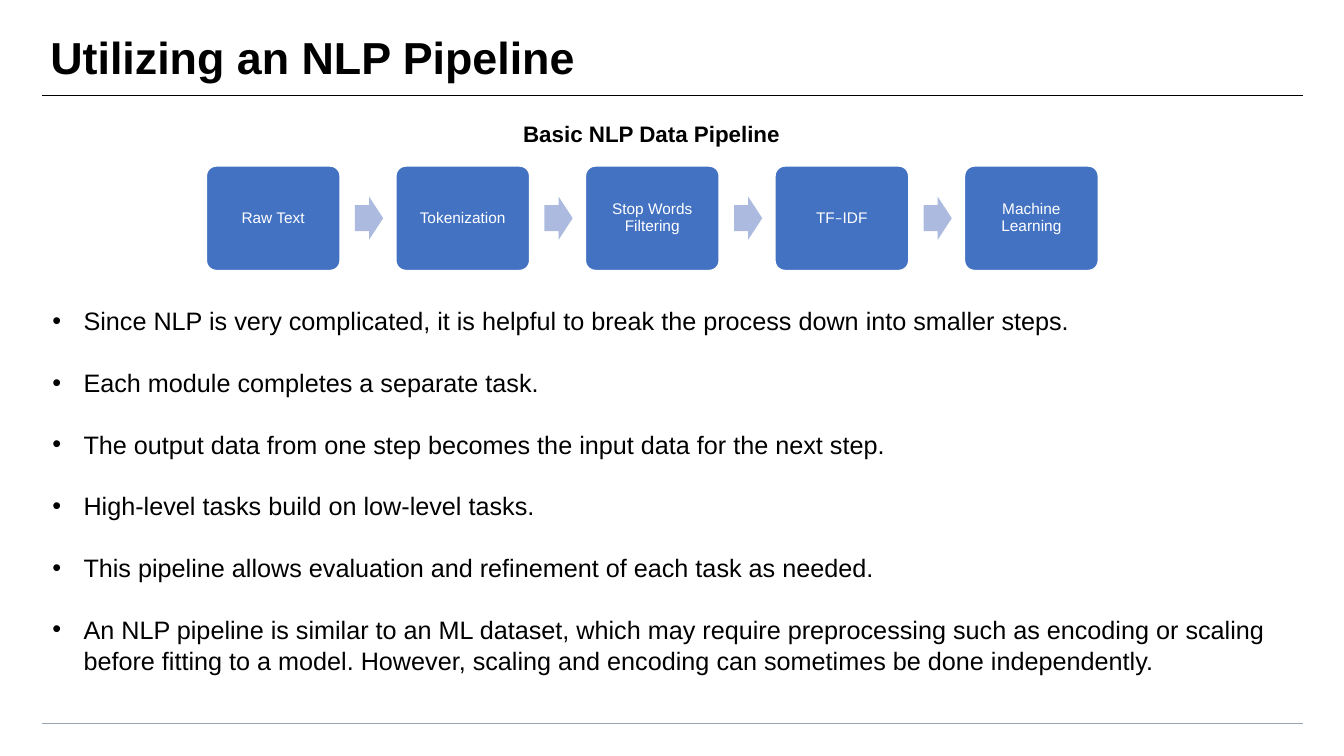
"""Build a slide that presents the steps of a basic NLP data pipeline."""
import pptx
import pptx.dml.color
import pptx.enum.shapes
import pptx.enum.text
import pptx.oxml.xmlchemy
import pptx.util

Inches = pptx.util.Inches
Pt = pptx.util.Pt
Shapes = pptx.enum.shapes.MSO_SHAPE
Align = pptx.enum.text.PP_ALIGN
Anchor = pptx.enum.text.MSO_ANCHOR
new_element = pptx.oxml.xmlchemy.OxmlElement

TITLE = "Utilizing an NLP Pipeline"
DIAGRAM_TITLE = "Basic NLP Data Pipeline"
STEPS = [
    [("Raw Text", "body")],
    [("Tokenization", "body")],
    [("Stop Words Filtering", "body")],
    [("TF", "body"), ("–", "dash"), ("IDF", "body")],
    [("Machine Learning", "body")],
]
BULLETS = [
    "Since NLP is very complicated, it is helpful to break the process down into smaller steps.",
    "Each module completes a separate task.",
    "The output data from one step becomes the input data for the next step.",
    "High-level tasks build on low-level tasks.",
    "This pipeline allows evaluation and refinement of each task as needed.",
    "An NLP pipeline is similar to an ML dataset, which may require preprocessing such as encoding "
    "or scaling before fitting to a model. However, scaling and encoding can sometimes be done "
    "independently.",
]
THEME = {
    "fonts": {"body": "Arial", "dash": "Calibri"},
    "sizes": {"title": 32, "subtitle": 16, "bullet": 18, "step": 11},
    "colors": {"text": "000000", "light": "FFFFFF", "step": "4372C3", "arrow": "ABBADE",
               "top rule": "000000", "bottom rule": "9AA5B1"},
}
RULES = [("top rule", 0.95), ("bottom rule", 7.18)]
RULE_LEFT, RULE_RIGHT = 0.42, 12.92
STEP_LEFT, STEP_TOP, STEP_WIDTH, STEP_HEIGHT = 2.04, 1.64, 1.34, 1.05
STEP_PITCH = 1.88
ARROW_OFFSET, ARROW_WIDTH, ARROW_HEIGHT = 1.48, 0.28, 0.43


def color(name):
    """Return a theme colour."""
    return pptx.dml.color.RGBColor.from_string(THEME["colors"][name])


def write(frame, paragraphs, size, ink="text", bold=False, align=Align.LEFT, anchor=Anchor.TOP,
          margins=(0.1, 0.05, 0.1, 0.05), line_spacing=1.0, gap=0, bulleted=False):
    """Fill a text frame with paragraphs, each a list of (text, font) runs."""
    frame.word_wrap = True
    frame.vertical_anchor = anchor
    frame.margin_left, frame.margin_top, frame.margin_right, frame.margin_bottom = map(Inches, margins)
    for index, runs in enumerate(paragraphs):
        paragraph = frame.add_paragraph() if index else frame.paragraphs[0]
        if bulleted:
            add_bullet(paragraph)
        paragraph.alignment = align
        paragraph.line_spacing = line_spacing
        paragraph.space_before = Pt(gap if index else 0)
        for text, font in runs:
            run = paragraph.add_run()
            run.text = text
            run.font.name = THEME["fonts"][font]
            run.font.size = Pt(THEME["sizes"][size])
            run.font.bold = bold
            run.font.color.rgb = color(ink)


def add_bullet(paragraph):
    """Give a paragraph a hanging round bullet."""
    properties = paragraph._p.get_or_add_pPr()
    properties.set("marL", str(Inches(0.31)))
    properties.set("indent", str(Inches(-0.31)))
    font = new_element("a:buFont")
    font.set("typeface", THEME["fonts"]["body"])
    bullet = new_element("a:buChar")
    bullet.set("char", "•")
    properties.extend([font, bullet])


def add_text(slide, box, paragraphs, **style):
    """Add a text box."""
    shape = slide.shapes.add_textbox(*map(Inches, box))
    write(shape.text_frame, paragraphs, **style)


def add_block(slide, kind, box, fill, adjustments):
    """Add a filled shape without an outline or shadow."""
    shape = slide.shapes.add_shape(kind, *map(Inches, box))
    shape.shadow.inherit = False
    shape.fill.solid()
    shape.fill.fore_color.rgb = color(fill)
    shape.line.fill.background()
    for index, value in enumerate(adjustments):
        shape.adjustments[index] = value
    return shape


def add_rule(slide, name, top):
    """Add a thin horizontal rule."""
    rule = slide.shapes.add_connector(
        pptx.enum.shapes.MSO_CONNECTOR.STRAIGHT,
        Inches(RULE_LEFT), Inches(top), Inches(RULE_RIGHT), Inches(top))
    rule.line.color.rgb = color(name)
    rule.line.width = Pt(0.5)
    rule._element.spPr.append(new_element("a:effectLst"))


def add_pipeline(slide):
    """Add the row of steps with an arrow between neighbours."""
    for index, runs in enumerate(STEPS):
        left = STEP_LEFT + index * STEP_PITCH
        step = add_block(slide, Shapes.ROUNDED_RECTANGLE,
                         (left, STEP_TOP, STEP_WIDTH, STEP_HEIGHT), "step", [0.1])
        step.line.color.rgb = color("light")
        step.line.width = Pt(2)
        write(step.text_frame, [runs], size="step", ink="light", align=Align.CENTER,
              anchor=Anchor.MIDDLE, margins=(0.05, 0.05, 0.05, 0.05), line_spacing=0.9)
        if index < len(STEPS) - 1:
            arrow_top = STEP_TOP + (STEP_HEIGHT - ARROW_HEIGHT) / 2
            add_block(slide, Shapes.RIGHT_ARROW,
                      (left + ARROW_OFFSET, arrow_top, ARROW_WIDTH, ARROW_HEIGHT), "arrow", [0.6, 0.5])


def main():
    """Build and save the slide."""
    presentation = pptx.Presentation()
    presentation.slide_width, presentation.slide_height = Inches(13.33), Inches(7.5)
    slide = presentation.slides.add_slide(presentation.slide_layouts[6])
    for name, top in RULES:
        add_rule(slide, name, top)
    add_text(slide, (0, 0.33, 13.33, 0.52), [[(TITLE, "body")]], size="title", bold=True,
             anchor=Anchor.MIDDLE, margins=(0.5, 0.05, 0.2, 0.05), line_spacing=0.9)
    add_text(slide, (0.42, 2.97, 12.61, 4.12), [[(text, "body")] for text in BULLETS],
             size="bullet", line_spacing=1.04, gap=21.6, bulleted=True)
    add_text(slide, (5.09, 1.14, 3.12, 0.34), [[(DIAGRAM_TITLE, "body")]], size="subtitle", bold=True)
    add_pipeline(slide)
    presentation.save("out.pptx")


if __name__ == "__main__":
    main()
